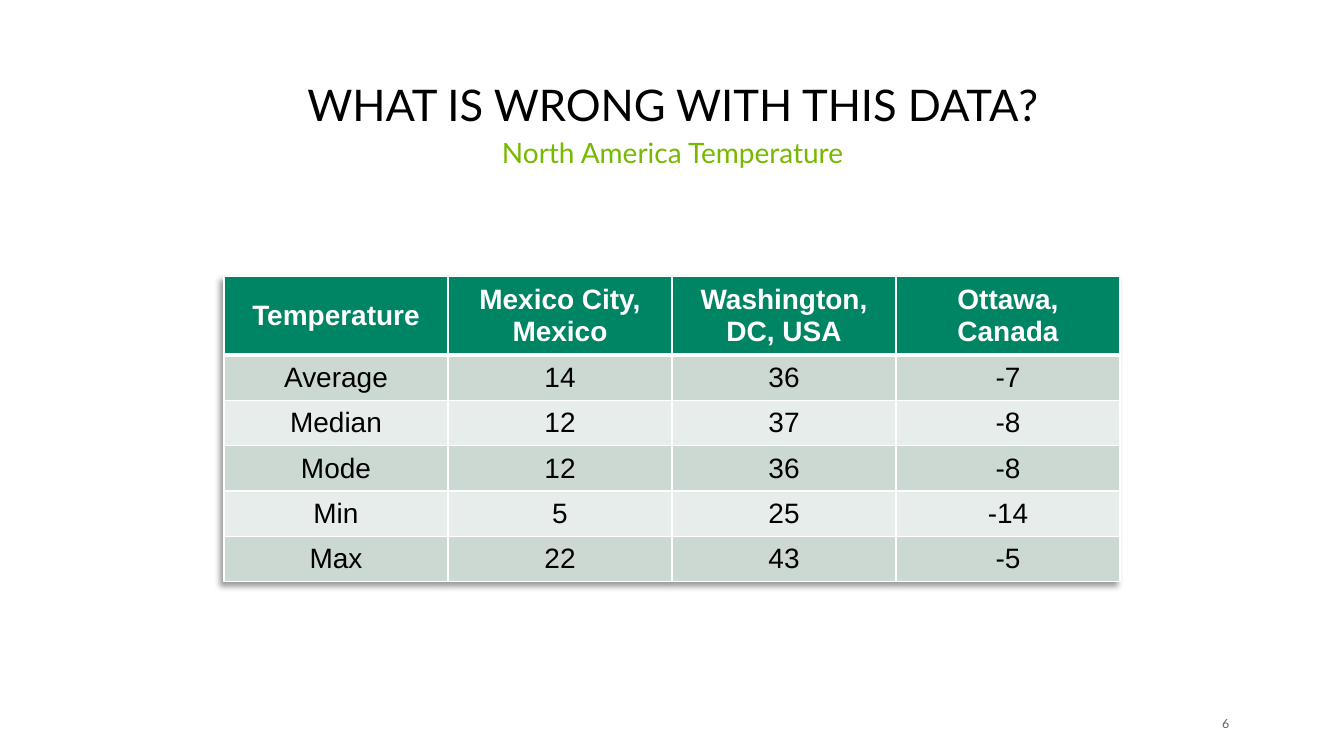
from lxml import etree
from pptx import Presentation
from pptx.dml.color import RGBColor
from pptx.enum.text import MSO_ANCHOR as ANCHOR, PP_ALIGN as ALIGN
from pptx.oxml import parse_xml
from pptx.oxml.ns import nsdecls, qn
from pptx.util import Cm, Pt

TEXTS = [
    ("WHAT IS WRONG WITH THIS DATA?", (1.4, 1.45, 27.71, 1.65), 28, "000000", ALIGN.CENTER, ANCHOR.BOTTOM, 0.13),
    ("North America Temperature", (1.4, 3.02, 27.71, 1.45), 18, "76B900", ALIGN.CENTER, ANCHOR.TOP, 0.13),
    ("6", (27.13, 16.21, 0.75, 0.46), 8, "5E5E5E", ALIGN.RIGHT, ANCHOR.MIDDLE, 0),
]
ROWS = [
    ("Temperature", "Mexico City, Mexico", "Washington, DC, USA", "Ottawa, Canada"),
    ("Average", "14", "36", "-7"),
    ("Median", "12", "37", "-8"),
    ("Mode", "12", "36", "-8"),
    ("Min", "5", "25", "-14"),
    ("Max", "22", "43", "-5"),
]
HEADER_FILL, BAND_FILLS = "008564", ("E7EDEA", "CCD9D3")
COL_W, HEADER_H, ROW_H = 5.08, 1.7, 1.03
TABLE_LEFT, TABLE_TOP = 5.08, 6.27
SHADOW = (
    f'<a:effectLst {nsdecls("a")}><a:outerShdw blurRad="50800" dist="38100" dir="8100000" '
    'algn="tr" rotWithShape="0"><a:srgbClr val="000000"><a:alpha val="40000"/></a:srgbClr>'
    '</a:outerShdw></a:effectLst>'
)


def rgb(value):
    return RGBColor.from_string(value)


def style(p, font, size, color, align, bold=False):
    p.alignment = align
    p.font.name, p.font.size, p.font.bold = font, Pt(size), bold
    p.font.color.rgb = rgb(color)


def add_text(s, text, box, size, color, align, anchor, inset):
    tf = s.shapes.add_textbox(*map(Cm, box)).text_frame
    tf.word_wrap = True
    tf.vertical_anchor = anchor
    tf.margin_top = tf.margin_bottom = Cm(inset)
    tf.margin_left = tf.margin_right = Cm(2 * inset)
    p = tf.paragraphs[0]
    p.text = text
    p.line_spacing = 0.9
    style(p, "Lato", size, color, align)


def add_border(cell, side, width):
    ln = etree.SubElement(cell._tc.get_or_add_tcPr(), qn(f"a:ln{side}"), w=str(Pt(width)))
    fill = etree.SubElement(ln, qn("a:solidFill"))
    etree.SubElement(fill, qn("a:srgbClr"), val="FFFFFF")


def fill_cell(cell, text, row):
    header = row == 0
    for side in "LRTB":
        thick = (header and side == "B") or (row == 1 and side == "T")
        add_border(cell, side, 3 if thick else 1)
    cell.fill.solid()
    cell.fill.fore_color.rgb = rgb(HEADER_FILL if header else BAND_FILLS[row % 2])
    cell.vertical_anchor = ANCHOR.MIDDLE
    p = cell.text_frame.paragraphs[0]
    p.text = text
    style(p, "Arial", 18, "FFFFFF" if header else "000000", ALIGN.CENTER, header)


def add_temperatures(s):
    heights = [HEADER_H] + [ROW_H] * (len(ROWS) - 1)
    cols = len(ROWS[0])
    table = s.shapes.add_table(
        len(ROWS), cols, Cm(TABLE_LEFT), Cm(TABLE_TOP), Cm(COL_W * cols), Cm(sum(heights))
    ).table
    table._tbl.tblPr.insert(0, parse_xml(SHADOW))
    for col in table.columns:
        col.width = Cm(COL_W)
    for i, (values, height) in enumerate(zip(ROWS, heights)):
        table.rows[i].height = Cm(height)
        for j, text in enumerate(values):
            fill_cell(table.cell(i, j), text, i)


def main():
    prs = Presentation()
    prs.slide_width, prs.slide_height = Cm(30.48), Cm(17.15)
    s = prs.slides.add_slide(prs.slide_layouts[6])
    for item in TEXTS:
        add_text(s, *item)
    add_temperatures(s)
    prs.save("out.pptx")


if __name__ == "__main__":
    main()
